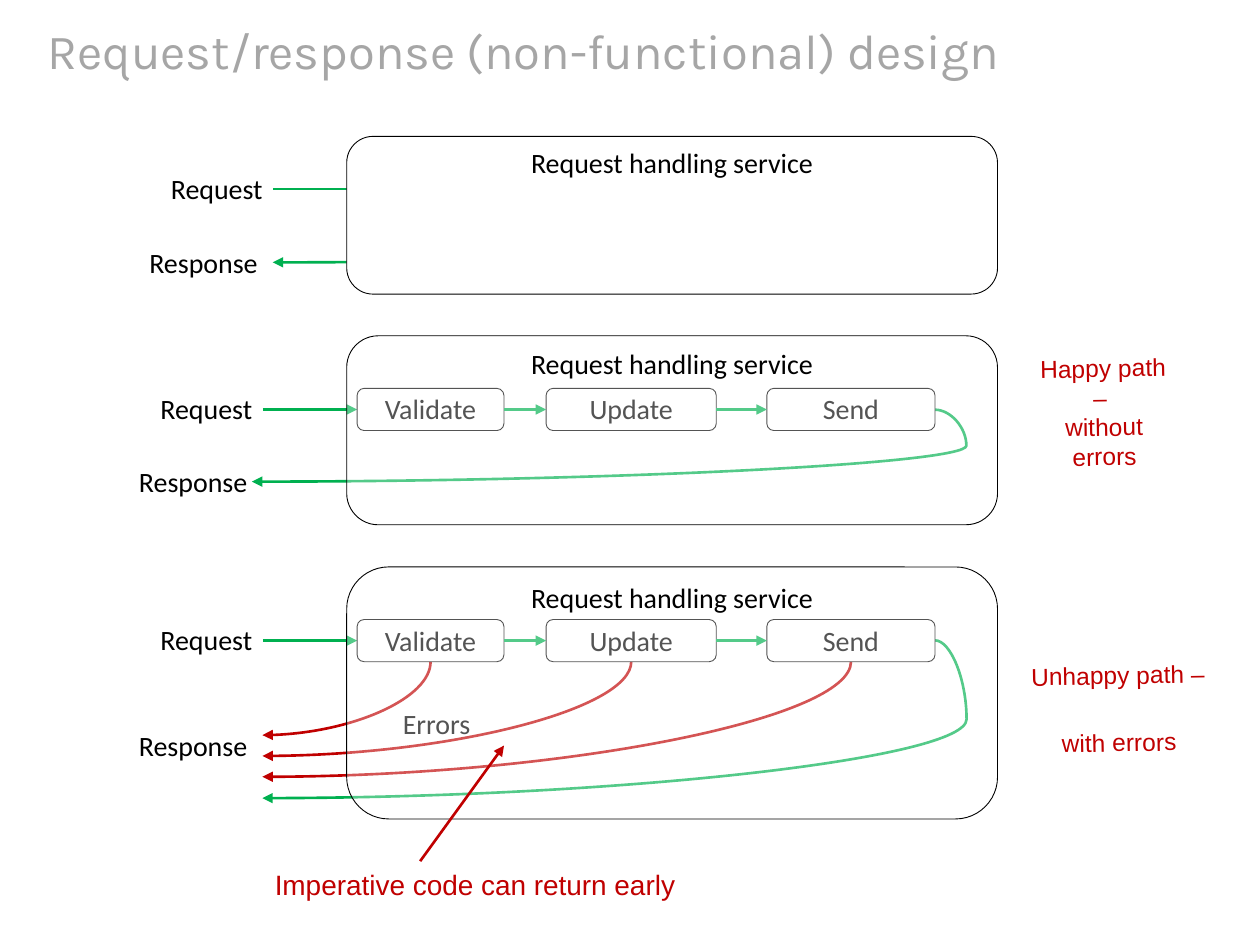
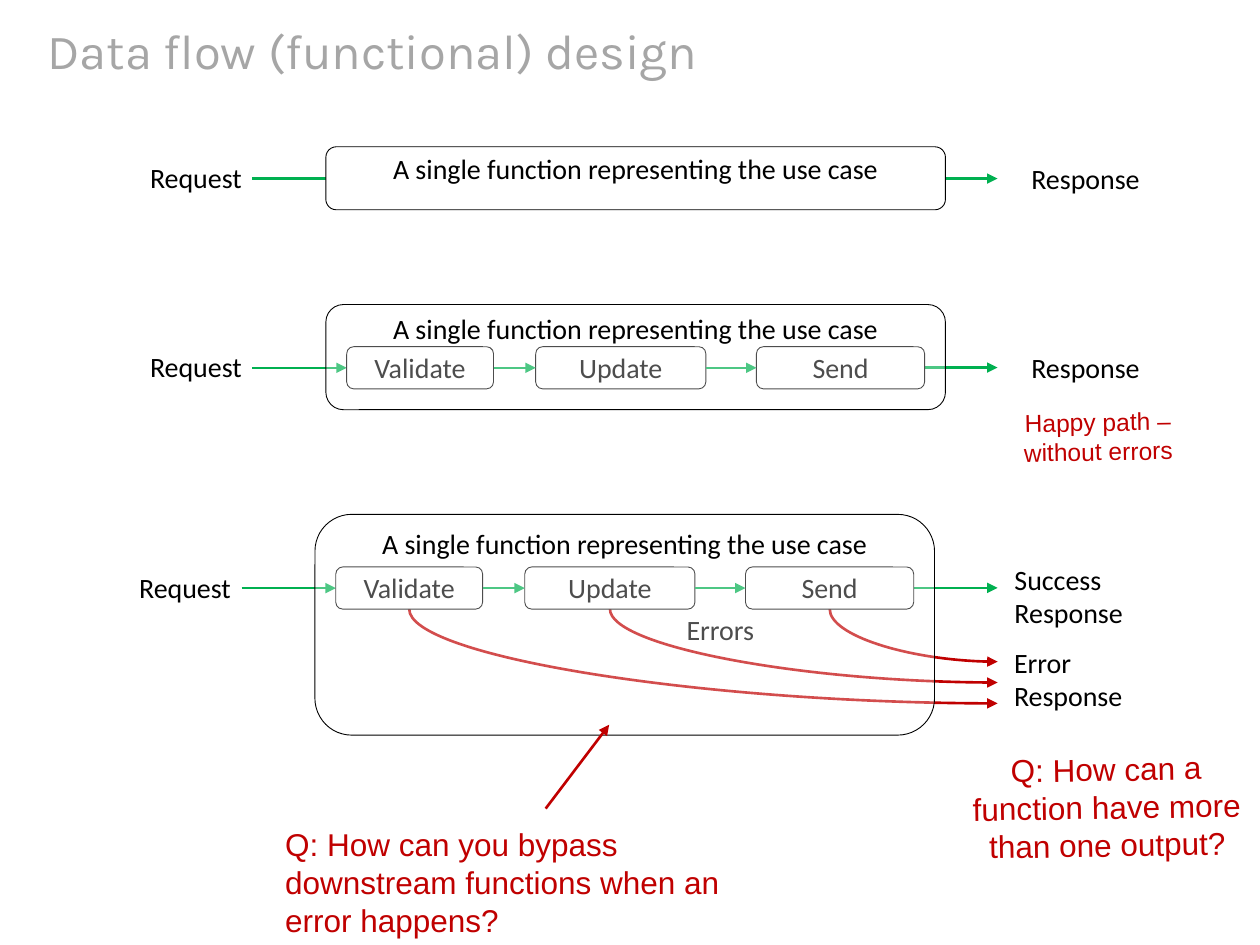
from lxml import etree
from pptx import Presentation
from pptx import util as u
from pptx.dml.color import RGBColor
from pptx.enum import shapes, text
from pptx.oxml import ns

GREY = RGBColor(0xA6, 0xA6, 0xA6)
BLACK = RGBColor(0, 0, 0)
WHITE = RGBColor(0xFF, 0xFF, 0xFF)
GREEN = RGBColor(0, 0xB0, 0x50)
RED = RGBColor(0xC0, 0, 0)

LEFT, CENTER, RIGHT = text.PP_ALIGN.LEFT, text.PP_ALIGN.CENTER, text.PP_ALIGN.RIGHT
STRAIGHT, CURVE = shapes.MSO_CONNECTOR.STRAIGHT, shapes.MSO_CONNECTOR.CURVE
STEPS = [("Validate", 0, 2.96), ("Update", 3.81, 3.43), ("Send", 8.26, 3.39)]
STEP_HEIGHT = 0.85
ROW_WIDTH = 11.65
ENTRY = 1.9
LABEL_INSETS = dict(margin_left=0.05, margin_right=0.05, margin_top=0.03, margin_bottom=0.03)
BOX_INSETS = dict(LABEL_INSETS, margin_left=0.25, margin_right=0.25)


class FlowDeck:
    """Draws request flow diagrams in one style on the current slide."""

    fonts = {
        "title": dict(name="Karla", size=u.Pt(28)),
        "diagram": dict(name="Calibri", size=u.Pt(16)),
        "remark": dict(name="Arial", size=u.Pt(14)),
        "caption": dict(name="Arial", size=u.Pt(16)),
        "question": dict(name="Arial", size=u.Pt(18)),
    }

    def __init__(self):
        self.deck = Presentation()
        self.deck.slide_width, self.deck.slide_height = u.Cm(25.4), u.Cm(19.05)

    def start(self, title):
        self.slide = self.deck.slides.add_slide(self.deck.slide_layouts[6])
        self.canvas = self.slide.shapes
        heading = self.note([title], (0.71, 0.33, 24, 1.37), "title", GREY, grow=False)
        heading.text_frame.vertical_anchor = text.MSO_ANCHOR.MIDDLE

    def group(self):
        self.canvas = self.slide.shapes.add_group_shape().shapes

    def ungroup(self):
        self.canvas = self.slide.shapes

    def set_words(self, frame, lines, style, color, align):
        frame.word_wrap = True
        paragraph = frame.paragraphs[0]
        paragraph.text = "\v".join(lines)
        paragraph.alignment = align
        for run in paragraph.runs:
            for key, value in self.fonts[style].items():
                setattr(run.font, key, value)
            run.font.color.rgb = color
        return paragraph

    def note(self, lines, place, style, color=RED, align=LEFT, tilt=0, grow=True):
        note = self.canvas.add_textbox(*map(u.Cm, place))
        self.set_words(note.text_frame, lines, style, color, align)
        if grow:
            note.text_frame.auto_size = text.MSO_AUTO_SIZE.SHAPE_TO_FIT_TEXT
        note.rotation = tilt
        return note

    def rounded(self, words, place, align, insets):
        rounded = self.canvas.add_shape(shapes.MSO_SHAPE.ROUNDED_RECTANGLE, *map(u.Cm, place))
        rounded.shadow.inherit = False
        frame = rounded.text_frame
        for key, value in insets.items():
            setattr(frame, key, u.Cm(value))
        frame.vertical_anchor = text.MSO_ANCHOR.TOP
        self.set_words(frame, [words], "diagram", BLACK, align).space_after = u.Pt(10)
        return rounded

    def label(self, words, place, align=RIGHT):
        label = self.rounded(words, place, align, LABEL_INSETS)
        label.fill.background()
        label.line.fill.background()

    def box(self, words, place, opacity=100):
        box = self.rounded(words, place, CENTER, BOX_INSETS)
        box.fill.solid()
        box.fill.fore_color.rgb = WHITE
        box.line.color.rgb = BLACK
        box.line.width = u.Pt(0.5)
        if opacity < 100:
            tint = box._element.spPr.find(ns.qn("a:solidFill")).find(ns.qn("a:srgbClr"))
            etree.SubElement(tint, ns.qn("a:alpha"), val=str(opacity * 1000))

    def arrow(self, start, end, color=GREEN, kind=STRAIGHT):
        arrow = self.canvas.add_connector(kind, *map(u.Cm, (*start, *end)))
        arrow.line.color.rgb = color
        arrow.line.width = u.Pt(1.5)
        properties = arrow._element.spPr
        etree.SubElement(properties.find(ns.qn("a:ln")), ns.qn("a:tailEnd"), type="triangle")
        etree.SubElement(properties, ns.qn("a:effectLst"))
        return properties

    def loop_back(self, start, end):
        geometry = self.arrow(start, end, kind=CURVE).find(ns.qn("a:prstGeom"))
        guides = geometry.find(ns.qn("a:avLst"))
        bulge = round(-0.635 / (start[0] - end[0]) * 100000)
        etree.SubElement(guides, ns.qn("a:gd"), name="adj1", fmla=f"val {bulge}")

    def bend(self, start, end):
        (x1, y1), (x2, y2) = start, end
        side = 1 if x2 < x1 else -1
        x, y = (x1 + x2) / 2, (y1 + y2) / 2
        half_drop, half_run = side * (y2 - y1) / 2, abs(x2 - x1) / 2
        properties = self.arrow((x - half_drop, y - half_run),
                                (x + half_drop, y + half_run), RED, CURVE)
        properties.find(ns.qn("a:xfrm")).set("rot", str((180 - 90 * side) * 60000))
        properties.find(ns.qn("a:prstGeom")).set("prst", "curvedConnector2")

    def errors(self, left, top, exit_x, exit_ys):
        for (_, offset, width), exit_y in zip(STEPS, exit_ys):
            self.bend((left + offset + width / 2, top + STEP_HEIGHT), (exit_x, exit_y))

    def request(self, left, top):
        self.label("Request", (left - 5.08, top, 3.05, 0.69))

    def entry(self, left, middle):
        self.arrow((left - ENTRY, middle), (left, middle))

    def steps(self, left, top):
        middle = top + STEP_HEIGHT / 2
        self.request(left, top)
        self.entry(left, middle)
        for name, offset, width in STEPS:
            self.box(name, (left + offset, top, width, STEP_HEIGHT))
        for (_, offset, width), (_, following, _) in zip(STEPS, STEPS[1:]):
            self.arrow((left + offset + width, middle), (left + following, middle))


def request_response(flow):
    service, service_left, service_width = "Request handling service", 6.99, 13.12
    flow.start("Request/response (non-functional) design")

    flow.group()
    flow.request(7.41, 3.39)
    flow.label("Response", (2.54, 4.87, 2.75, 0.88))
    flow.loop_back((19.05, 3.81), (5.5, 5.29))
    flow.entry(7.41, 3.81)
    flow.box(service, (service_left, 2.75, service_width, 3.18))

    left, right = 7.2, 7.2 + ROW_WIDTH
    flow.group()
    flow.label("Response", (2.33, 9.3, 2.75, 0.86))
    flow.loop_back((right, 8.26), (5.08, 9.71))
    flow.steps(left, 7.83)
    flow.box(service, (service_left, 6.77, service_width, 3.81), 33)

    flow.group()
    flow.errors(left, 12.49, 5.29, (14.82, 15.24, 15.66))
    flow.label("Errors", (8.04, 14.18, 1.83, 0.69), LEFT)
    flow.label("Response", (2.33, 14.61, 2.75, 0.88))
    flow.loop_back((right, 12.91), (5.29, 16.09))
    flow.steps(left, 12.49)
    flow.box(service, (service_left, 11.43, service_width, 5.08), 33)

    flow.ungroup()
    flow.note(["Happy path – ", "without errors"], (20.55, 6.99, 3.38, 1.45),
              "remark", align=CENTER, tilt=359)
    flow.note(["Unhappy path – ", "with errors"], (20.52, 13.18, 4.04, 1.45),
              "remark", align=CENTER, tilt=359)
    flow.note(["Imperative code can return early"], (5.29, 17.36, 10.58, 0.94), "caption")
    flow.arrow((8.47, 17.36), (10.16, 15.03), RED)


def data_flow(flow):
    use_case, width = "A single function representing the use case", 12.49
    exit_x, answer_left, answer_width = 20.11, 20.32, 2.75
    flow.start("Data flow (functional) design")

    left, right = 6.99, 6.99 + ROW_WIDTH
    flow.group()
    flow.label("Response", (answer_left, 3.18, answer_width, 0.88))
    flow.arrow((right, 3.6), (exit_x, 3.6))
    flow.entry(left, 3.6)
    flow.box(use_case, (left - 0.42, 2.96, width, 1.27))
    flow.request(left, 3.18)

    flow.group()
    flow.label("Response", (answer_left, 6.99, answer_width, 0.88))
    flow.arrow((right, 7.41), (exit_x, 7.41))
    flow.steps(left, 6.99)
    flow.box(use_case, (left - 0.42, 6.14, width, 2.12), 30)

    left, right = 6.77, 6.77 + ROW_WIDTH
    flow.group()
    flow.errors(left, 11.43, exit_x, (14.18, 13.76, 13.34))
    flow.label("Errors", (13.76, 12.28, 1.83, 0.69), LEFT)
    flow.label("Success Response", (answer_left, 11.22, answer_width, 1.69), LEFT)
    flow.label("Error Response", (answer_left, 12.91, answer_width, 1.48), LEFT)
    flow.arrow((right, 11.85), (exit_x, 11.85))
    flow.steps(left, 11.43)
    flow.box(use_case, (left - 0.42, 10.37, width, 4.45), 30)

    flow.ungroup()
    flow.note(["Q: How can a function have more than one output?"],
              (19.25, 14.99, 6.12, 2.57), "question", align=CENTER, tilt=359)
    flow.note(["Q: How can you bypass downstream functions when an error happens?"],
              (5.5, 16.51, 10.58, 1.8), "question")
    flow.arrow((11, 16.3), (12.28, 14.61), RED)
    flow.note(["Happy path –", "without errors"], (19.91, 8.08, 4.45, 1.45),
              "remark", align=CENTER, tilt=359)


def main():
    flow = FlowDeck()
    request_response(flow)
    data_flow(flow)
    flow.deck.save("out.pptx")


if __name__ == "__main__":
    main()
